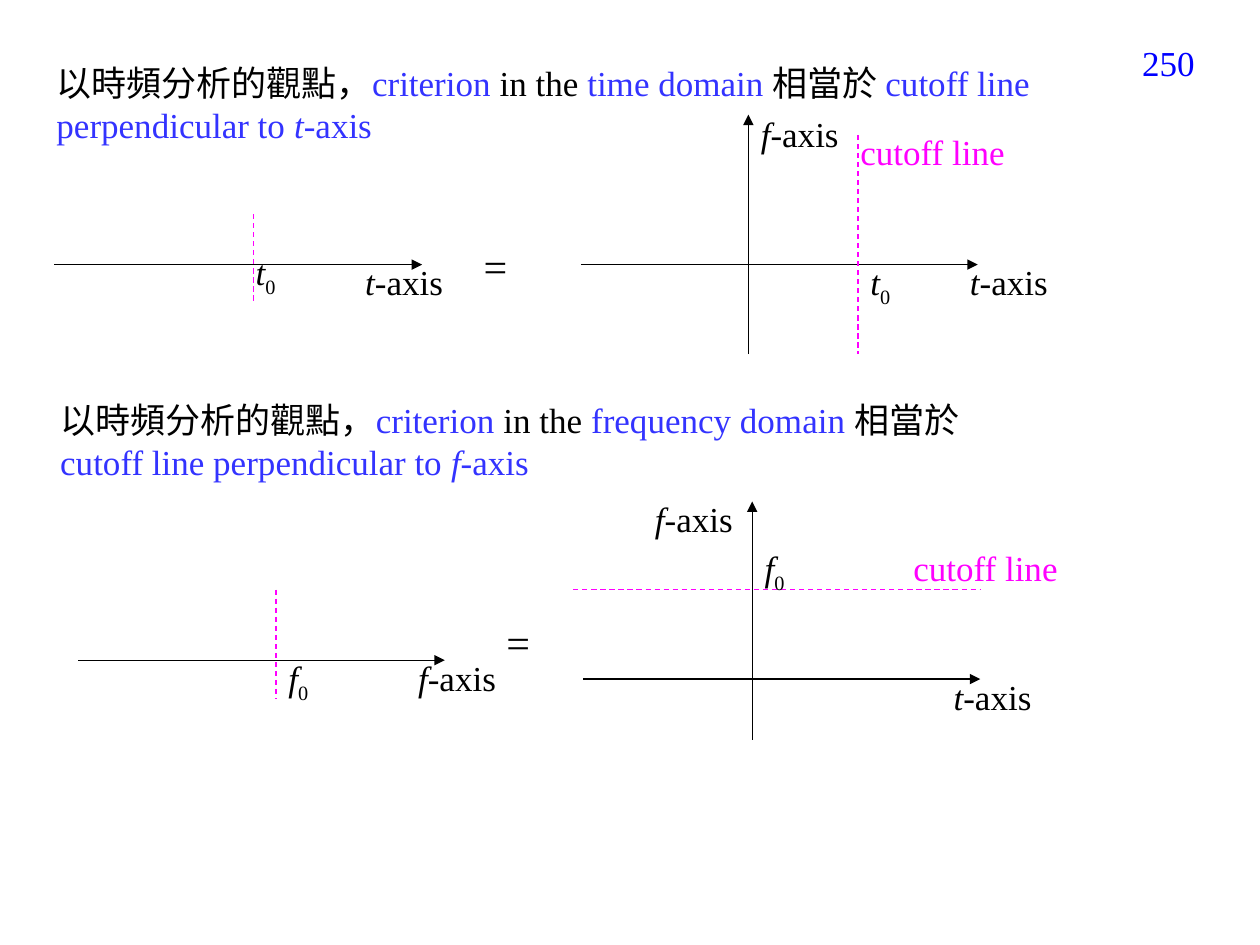
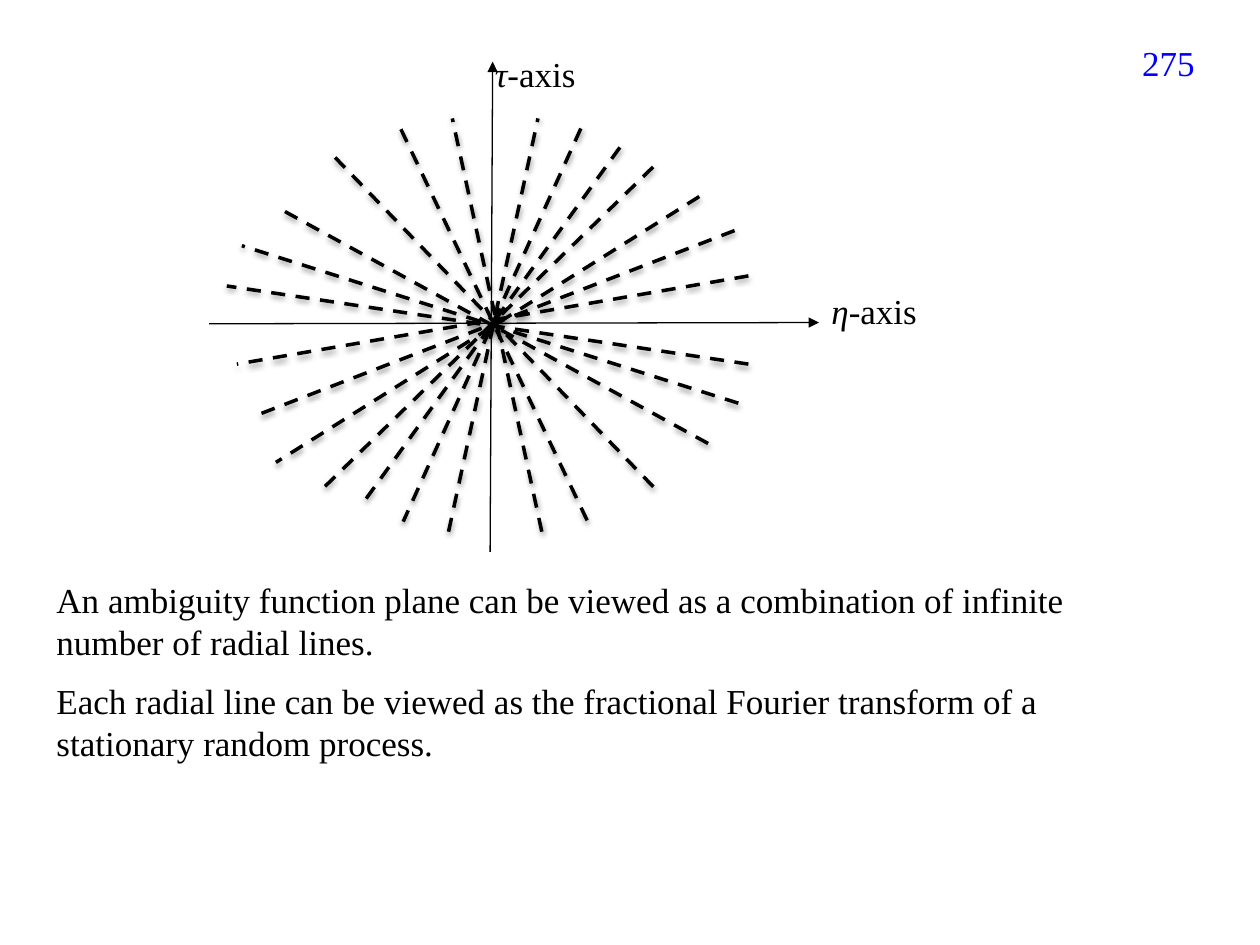
import typing

import lxml.etree
import pptx
import pptx.dml.color
import pptx.enum.dml
import pptx.enum.shapes
import pptx.enum.text
import pptx.oxml.ns
import pptx.slide
import pptx.text.text
import pptx.util

FONT = "Times New Roman"
BLACK, BLUE, PAGE_BLUE, MAGENTA = "000000", "3333FF", "0000FF", "FF00FF"
Inches = pptx.util.Inches
qn = pptx.oxml.ns.qn


class Run(typing.NamedTuple):
    text: str
    color: str = BLACK
    size: float = 20
    italic: bool = False
    subscript: bool = False


class Label(typing.NamedTuple):
    left: float
    top: float
    width: float
    runs: list[Run]
    height: float = 0.43
    wrap: bool = True


class Stroke(typing.NamedTuple):
    x1: float
    y1: float
    x2: float
    y2: float


def rgb(color: str) -> pptx.dml.color.RGBColor:
    return pptx.dml.color.RGBColor.from_string(color)


def add_run(p: pptx.text.text._Paragraph, text: str, *, color: str = BLACK, size: float = 20,
            italic: bool = False, subscript: bool = False) -> None:
    r = p.add_run()
    r.text = text
    r.font.name = FONT
    r.font.size = pptx.util.Pt(size)
    r.font.italic = italic
    r.font.color.rgb = rgb(color)
    if subscript:
        r.font._element.set("baseline", "-25000")


def add_text(s: pptx.slide.Slide, left: float, top: float, width: float, height: float,
             paragraphs: list[list[Run]], wrap: bool = True, right: bool = False,
             grow: bool = True) -> None:
    tf = s.shapes.add_textbox(Inches(left), Inches(top), Inches(width), Inches(height)).text_frame
    tf.word_wrap = wrap
    if grow:
        tf.auto_size = pptx.enum.text.MSO_AUTO_SIZE.SHAPE_TO_FIT_TEXT
    for i, runs in enumerate(paragraphs):
        p = tf.add_paragraph() if i else tf.paragraphs[0]
        if i:
            p.space_before = pptx.util.Pt(10)
        if right:
            p.alignment = pptx.enum.text.PP_ALIGN.RIGHT
        for run in runs:
            add_run(p, **run._asdict())


def add_label(s: pptx.slide.Slide, label: Label) -> None:
    add_text(s, label.left, label.top, label.width, label.height, [label.runs], label.wrap)


def add_line(s: pptx.slide.Slide, stroke: Stroke, color: str = BLACK, width: float = 0.75,
             dashed: bool = False, arrow: bool = False, shadow: bool = False) -> None:
    cn = s.shapes.add_connector(pptx.enum.shapes.MSO_CONNECTOR.STRAIGHT,
                                *(Inches(v) for v in stroke))
    cn.line.color.rgb = rgb(color)
    cn.line.width = pptx.util.Pt(width)
    if dashed:
        cn.line.dash_style = pptx.enum.dml.MSO_LINE.DASH
    if arrow:
        lxml.etree.SubElement(cn.get_or_add_ln(), qn("a:tailEnd"), type="triangle")
    effects = lxml.etree.SubElement(cn._element.spPr, qn("a:effectLst"))
    if shadow:
        outer = lxml.etree.SubElement(effects, qn("a:outerShdw"), blurRad="40000", dist="20000",
                                      dir="5400000", rotWithShape="0")
        tint = lxml.etree.SubElement(outer, qn("a:srgbClr"), val=BLACK)
        lxml.etree.SubElement(tint, qn("a:alpha"), val="38000")


def add_page(prs: pptx.presentation.Presentation, number: int) -> pptx.slide.Slide:
    s = prs.slides.add_slide(prs.slide_layouts[6])
    add_text(s, 8.7, 0.28, 0.88, 0.52, [[Run(str(number), PAGE_BLUE)]], right=True, grow=False)
    return s


def axis_name(left: float, top: float, symbol: str) -> Label:
    return Label(left, top, 0.94, [Run(symbol, italic=True), Run("-axis")])


def cutoff_point(left: float, top: float, symbol: str, width: float = 0.55) -> Label:
    return Label(left, top, width, [Run(symbol, italic=True), Run("0", subscript=True)])


def cutoff_name(left: float, top: float) -> Label:
    return Label(left, top, 1.35, [Run("cutoff line", MAGENTA)], wrap=False)


def equals_sign(left: float, top: float) -> Label:
    return Label(left, top, 0.63, [Run("=", size=24)], height=0.5)


def statement(left: float, top: float, domain: str, symbol: str) -> Label:
    return Label(left, top, 8.03, [
        Run("以時頻分析的觀點，"), Run("criterion", BLUE), Run(" in the "),
        Run(f"{domain} domain ", BLUE), Run("相當於 "),
        Run("cutoff line perpendicular to ", BLUE),
        Run(symbol, BLUE, italic=True), Run("-axis", BLUE)], height=0.77)


CUTOFF_AXES = [
    Stroke(0.43, 2.1, 3.35, 2.1), Stroke(4.61, 2.1, 7.76, 2.1), Stroke(5.94, 2.81, 5.94, 0.91),
    Stroke(0.62, 5.24, 3.53, 5.24), Stroke(4.63, 5.39, 7.78, 5.39), Stroke(5.97, 5.87, 5.97, 3.98),
]
CUTOFF_LINES = [
    Stroke(2.01, 1.7, 2.01, 2.41), Stroke(6.81, 1.07, 6.81, 2.81),
    Stroke(2.19, 4.68, 2.19, 5.55), Stroke(4.55, 4.68, 7.78, 4.68),
]
CUTOFF_LABELS = [
    statement(0.35, 0.44, "time", "t"),
    cutoff_point(1.93, 1.94, "t"), axis_name(2.8, 2.02, "t"), equals_sign(3.74, 1.86),
    axis_name(7.6, 2.02, "t"), axis_name(5.94, 0.84, "f"),
    cutoff_point(6.81, 2.02, "t"), cutoff_name(6.73, 0.99),
    statement(0.38, 3.11, "frequency", "f"),
    cutoff_point(2.19, 5.16, "f"), axis_name(3.22, 5.16, "f"), equals_sign(3.92, 4.84),
    axis_name(7.47, 5.31, "t"), axis_name(5.1, 3.9, "f"),
    cutoff_point(5.97, 4.29, "f", 0.71), cutoff_name(7.15, 4.29),
]

PLANE_AXES = [Stroke(1.66, 2.57, 6.5, 2.56), Stroke(3.89, 4.38, 3.91, 0.49)]
RADIAL_LINES = [
    Stroke(2.66, 1.25, 5.23, 3.91), Stroke(2.58, 3.86, 5.23, 1.28), Stroke(5.83, 1.83, 2, 3.31),
    Stroke(5.55, 1.56, 2.19, 3.67), Stroke(4.61, 1.02, 3.2, 4.14), Stroke(5.86, 3.2, 1.92, 1.95),
    Stroke(5.62, 3.52, 2.19, 1.64), Stroke(4.66, 4.13, 3.17, 1), Stroke(5.94, 2.89, 1.8, 2.27),
    Stroke(5.94, 2.19, 1.88, 2.89), Stroke(4.3, 4.22, 3.59, 0.94), Stroke(3.56, 4.22, 4.27, 0.94),
    Stroke(4.92, 1.17, 2.89, 3.98),
]
PLANE_NOTES = [
    "An ambiguity function plane can be viewed as a combination of infinite number of radial lines.",
    "Each radial line can be viewed as the fractional Fourier transform of a stationary random "
    "process.",
]


def build_cutoff_slide(prs: pptx.presentation.Presentation) -> None:
    s = add_page(prs, 250)
    for axis in CUTOFF_AXES:
        add_line(s, axis, arrow=True)
    for line in CUTOFF_LINES:
        add_line(s, line, MAGENTA, dashed=True)
    for label in CUTOFF_LABELS:
        add_label(s, label)


def build_plane_slide(prs: pptx.presentation.Presentation) -> None:
    s = add_page(prs, 275)
    for axis in PLANE_AXES:
        add_line(s, axis, arrow=True)
    for label in (axis_name(3.83, 0.37, "τ"), axis_name(6.5, 2.25, "η")):
        add_label(s, label)
    add_text(s, 0.35, 4.54, 8.9, 1.6, [[Run(note)] for note in PLANE_NOTES])
    for line in RADIAL_LINES:
        add_line(s, line, width=2, dashed=True, shadow=True)


def main() -> None:
    """Build the cutoff line and ambiguity plane slides."""
    prs = pptx.Presentation()
    prs.slide_width, prs.slide_height = Inches(10), Inches(7.5)
    build_cutoff_slide(prs)
    build_plane_slide(prs)
    prs.save("out.pptx")


if __name__ == "__main__":
    main()
